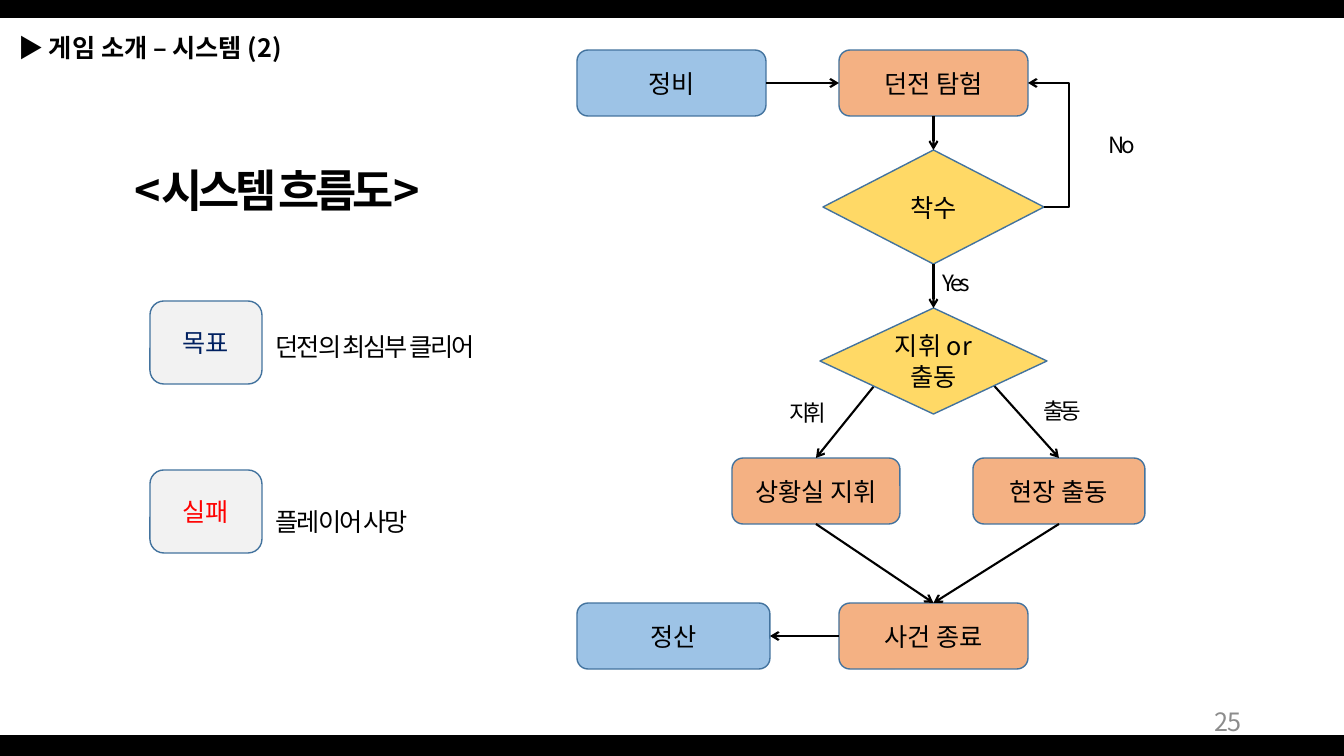
from lxml.etree import SubElement
from pptx import Presentation
from pptx.dml.color import RGBColor
from pptx.enum.shapes import MSO_CONNECTOR as CONNECTOR, MSO_SHAPE as SHAPE
from pptx.enum.text import MSO_ANCHOR as ANCHOR, MSO_AUTO_SIZE as AUTO_SIZE, PP_ALIGN as ALIGN
from pptx.oxml.ns import qn
from pptx.util import Pt

WIDTH, HEIGHT = 1344, 756
SCALE = 12192000 / WIDTH
TOP, LEFT, BOTTOM, RIGHT = range(4)
COLORS = {
    "black": "000000", "orange": "F4B183", "blue": "9DC3E6", "yellow": "FFD966",
    "gray": "F2F2F2", "outline": "43739E", "navy": "002060", "red": "FF0000", "number": "8C8C8C",
}


def px(length):
    return round(length * SCALE)


class FlowSlide:
    """Draws the flowchart elements on one slide in a shared style."""

    font_name = "Noto Sans CJK KR"

    def __init__(self, slide):
        self.slide = slide
        self.shapes = slide.shapes

    def color(self, name):
        return RGBColor.from_string(COLORS[name])

    def add_text(self, paragraph, text, size=18, color="black", bold=False, spacing=0):
        run = paragraph.add_run()
        run.text = text
        run.font.color.rgb = self.color(color)
        for name, value in {"name": self.font_name, "size": Pt(size), "bold": bold}.items():
            setattr(run.font, name, value)
        properties = run._r.get_or_add_rPr()
        properties.set("spc", str(round(spacing * 100)))
        SubElement(properties, qn("a:ea"), typeface=self.font_name)

    def frame(self, shape, align, anchor):
        frame = shape.text_frame
        values = {"word_wrap": True, "auto_size": AUTO_SIZE.NONE, "vertical_anchor": anchor}
        for name, value in values.items():
            setattr(frame, name, value)
        paragraph = frame.paragraphs[0]
        paragraph.alignment = align
        return paragraph

    def title(self, marker, text, left, top, width, height):
        shape = self.shapes.title
        for name, value in zip(("left", "top", "width", "height"), (left, top, width, height)):
            setattr(shape, name, px(value))
        paragraph = self.frame(shape, ALIGN.LEFT, ANCHOR.TOP)
        self.add_text(paragraph, marker)
        self.add_text(paragraph, text, bold=True)

    def label(self, text, left, top, width, height, align=ALIGN.CENTER,
              anchor=ANCHOR.TOP, line_spacing=1, **style):
        shape = self.shapes.add_textbox(*map(px, (left, top, width, height)))
        paragraph = self.frame(shape, align, anchor)
        paragraph.line_spacing = line_spacing
        self.add_text(paragraph, text, **style)

    def shape(self, kind, fill, left, top, width, height):
        shape = self.shapes.add_shape(kind, *map(px, (left, top, width, height)))
        shape.shadow.inherit = False
        shape.fill.solid()
        shape.fill.fore_color.rgb = self.color(fill)
        return shape

    def bar(self, top, height):
        self.shape(SHAPE.RECTANGLE, "black", 0, top, WIDTH, height).line.fill.background()

    def node(self, text, fill, left, top, width, height=66, kind=SHAPE.ROUNDED_RECTANGLE, color="black"):
        shape = self.shape(kind, fill, left, top, width, height)
        shape.line.color.rgb = self.color("outline")
        shape.line.width = Pt(1)
        self.add_text(self.frame(shape, ALIGN.CENTER, ANCHOR.MIDDLE), text, color=color)
        return shape

    def arrow(self, begin, end, start=(0, 0), kind=CONNECTOR.STRAIGHT):
        x, y = map(px, start)
        connector = self.shapes.add_connector(kind, x, y, x, y)
        if begin:
            connector.begin_connect(*begin)
        connector.end_connect(*end)
        connector.line.color.rgb = self.color("black")
        connector.line.width = Pt(1.5)
        properties = connector._element.spPr
        SubElement(properties.find(qn("a:ln")), qn("a:tailEnd"), type="arrow")
        SubElement(properties, qn("a:effectLst"))
        return connector

    def loop_arrow(self, begin, end, reach):
        connector = self.arrow(begin, end, kind=CONNECTOR.ELBOW)
        adjust = round(-px(reach) / connector.width * 100000)
        guides = connector._element.spPr.find(qn("a:prstGeom")).get_or_add_avLst()
        SubElement(guides, qn("a:gd"), name="adj1", fmla=f"val {adjust}")


def main():
    presentation = Presentation()
    presentation.slide_width = px(WIDTH)
    presentation.slide_height = px(HEIGHT)
    flow = FlowSlide(presentation.slides.add_slide(presentation.slide_layouts[5]))

    flow.bar(0, 18)
    flow.bar(735, 21)
    flow.title("▶ ", "게임 소개 – 시스템 (2)", 8, 27, 416, 40)
    flow.label("<시스템 흐름도>", 103, 158, 349, 65, size=32, bold=True, spacing=-3)

    explore = flow.node("던전 탐험", "orange", 839, 50, 189)
    finish = flow.node("사건 종료", "orange", 839, 603, 189)
    command = flow.node("상황실 지휘", "orange", 732, 458, 168)
    dispatch = flow.node("현장 출동", "orange", 973, 458, 172)
    prepare = flow.node("정비", "blue", 577, 50, 189)
    settle = flow.node("정산", "blue", 577, 603, 193)

    for branch, start_x in ((command, 887), (dispatch, 980)):
        flow.arrow(None, (branch, TOP), start=(start_x, 370))
        flow.arrow((branch, BOTTOM), (finish, TOP))

    arrival = flow.node("착수", "yellow", 823, 150, 221, 114, SHAPE.DIAMOND)
    choice = flow.node("지휘 or 출동", "yellow", 820, 308, 227, 106, SHAPE.DIAMOND)

    flow.arrow((prepare, RIGHT), (explore, LEFT))
    flow.arrow((explore, BOTTOM), (arrival, TOP))
    flow.arrow((arrival, BOTTOM), (choice, TOP))
    flow.arrow((finish, LEFT), (settle, RIGHT))
    flow.loop_arrow((arrival, RIGHT), (explore, RIGHT), 25)

    for text, left, top, spacing in (
        ("Yes", 919, 264, -2.4), ("No", 1084, 126, -2.4),
        ("지휘", 770, 394, -3), ("출동", 1025, 392, -3),
    ):
        flow.label(text, left, top, 75, 37, size=16, spacing=spacing)

    for name, color, top, caption, caption_top in (
        ("목표", "navy", 301, "던전의 최심부 클리어", 311),
        ("실패", "red", 470, "플레이어 사망", 486),
    ):
        flow.node(name, "gray", 150, top, 112, 83, color=color)
        flow.label(caption, 266, caption_top, 259, 56, align=ALIGN.LEFT, line_spacing=1.5, spacing=-1.5)

    flow.label("25", 950, 701, 302, 40, align=ALIGN.RIGHT, anchor=ANCHOR.MIDDLE, color="number")
    presentation.save("out.pptx")


if __name__ == "__main__":
    main()
